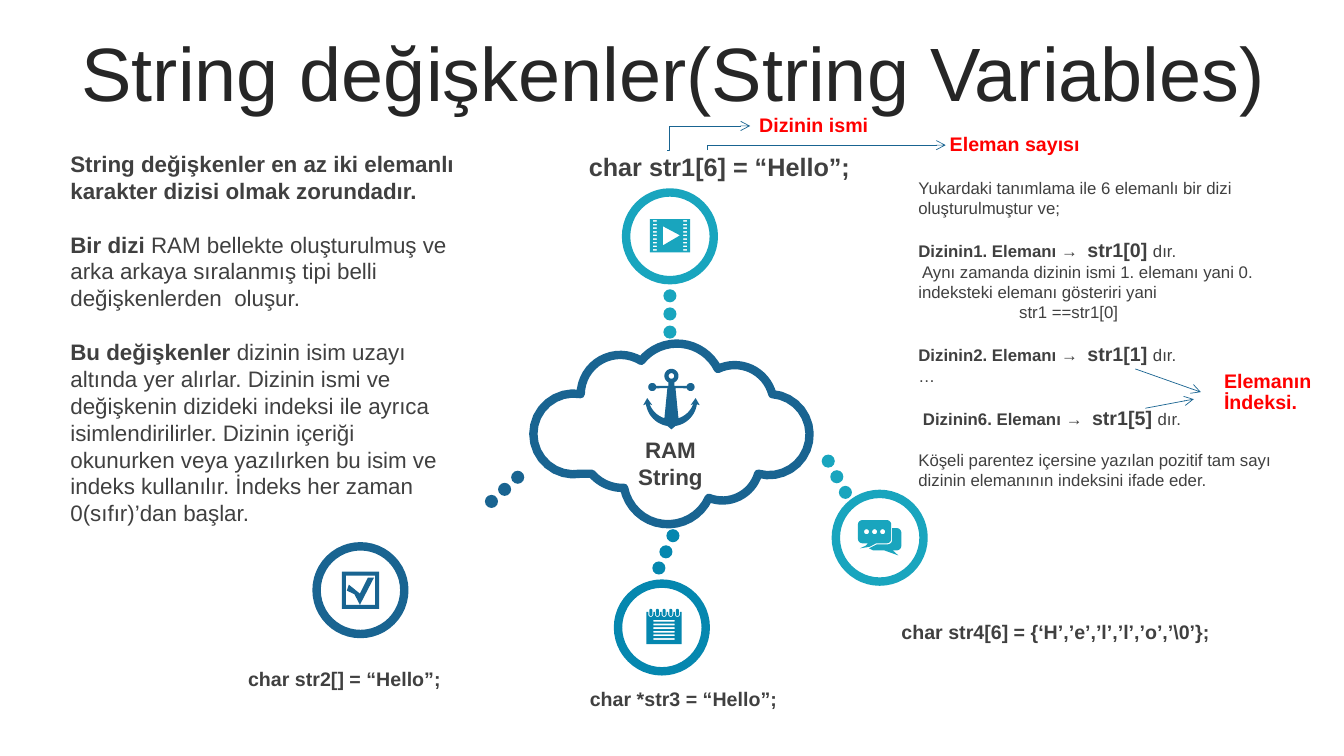
"""Build the slide about string variables around a memory cloud."""
import dataclasses
import math

import lxml.etree
import pptx
import pptx.dml.color
import pptx.enum.shapes
import pptx.enum.text
import pptx.oxml.ns
import pptx.util

COLUMNS, ROWS = 1333, 750
UNIT = pptx.util.Inches(7.5) / ROWS
NAVY, BLUE, TEAL = "196491", "0587AF", "19A5BE"
INK, TITLE_INK, RED = "404040", "262626", "FF0000"
LEFT, CENTER = pptx.enum.text.PP_ALIGN.LEFT, pptx.enum.text.PP_ALIGN.CENTER
RING, DOT = 87, 13
CLOUD_LOBES = [(636, 358, 21), (712, 366, 14), (766, 391, 44), (752, 470, 12), (703, 494, 31),
               (619, 484, 4), (587, 470, 0), (576, 470, 47), (576, 391, 20)]


@dataclasses.dataclass
class Para:
    """A paragraph of (words, bold, size) spans, with a gap above and an indent."""
    spans: list
    gap: float = 0
    indent: float = 0


def paint(color_format, color):
    """Set a colour from a hex string."""
    color_format.rgb = pptx.dml.color.RGBColor.from_string(color)


def units(*values):
    """Turn grid counts into lengths."""
    return [pptx.util.Emu(round(value * UNIT)) for value in values]


def finish(shape, fill=None, line=None):
    """Set the fill and line of a shape and take its shadow away."""
    shape.shadow.inherit = False
    for part, color in ((shape.fill, fill), (shape.line.fill, line)):
        if color:
            part.solid()
            paint(part.fore_color, color)
        else:
            part.background()
    if line:
        shape.line.width = pptx.util.Pt(6)


def add_circle(page, center, size, **look):
    """Add a circle around a centre."""
    oval = pptx.enum.shapes.MSO_SHAPE.OVAL
    left, top = (value - size / 2 for value in center)
    finish(page.shapes.add_shape(oval, *units(left, top, size, size)), **look)


def add_dots(page, first, last, color):
    """Add three dots at equal steps between two centres."""
    for step in (0, 0.5, 1):
        center = [a + (b - a) * step for a, b in zip(first, last)]
        add_circle(page, center, DOT, fill=color)


def add_outline(page, contours, center=(0, 0), **look):
    """Add one freeform made of closed contours given around a centre."""
    builder = None
    for contour in contours:
        first, *rest = [units(x + center[0], y + center[1]) for x, y in contour]
        if builder is None:
            builder = page.shapes.build_freeform(*first)
        else:
            builder.move_to(*first)
        builder.add_line_segments(rest, close=True)
    finish(builder.convert_to_shape(), **look)


def arc(x, y, radius, start, end, steps=16):
    """Give the points of an arc between two angles in degrees."""
    angles = [math.radians(start + (end - start) * step / steps) for step in range(steps + 1)]
    return [(x + radius * math.cos(angle), y + radius * math.sin(angle)) for angle in angles]


def lobe(start, end, bulge):
    """Give the points of an arc that rises by its bulge over the chord between two points."""
    if not bulge:
        return [start, end]
    (x1, y1), (x2, y2) = start, end
    half = math.dist(start, end) / 2
    radius = (half ** 2 + bulge ** 2) / (2 * bulge)
    inward = (radius - bulge) / (2 * half)
    x, y = (x1 + x2) / 2 - (y2 - y1) * inward, (y1 + y2) / 2 + (x2 - x1) * inward
    angle = math.degrees(math.atan2(y1 - y, x1 - x))
    return arc(x, y, radius, angle, angle + math.degrees(4 * math.atan(bulge / half)))


def cloud():
    """Give the cloud as lobes between neighbouring corners."""
    following = CLOUD_LOBES[1:] + CLOUD_LOBES[:1]
    return [[point for (x, y, bulge), (next_x, next_y, _) in zip(CLOUD_LOBES, following)
             for point in lobe((x, y), (next_x, next_y), bulge)]]


def rectangle(left, top, width, height):
    """Give the corners of a rectangle."""
    right, bottom = left + width, top + height
    return [(left, top), (right, top), (right, bottom), (left, bottom)]


def film():
    """Give a film strip with two columns of holes and a play sign."""
    holes = [rectangle(left, -16 + 3.6 * row, 4, 1.5) for left in (-17, 13) for row in range(9)]
    play = [(-7, -10), (-7, 9), (10, -1)]
    return [rectangle(-20, -17, 40, 33), play] + holes


def checkbox():
    """Give a square frame with a tick."""
    tick = [(-13.5, 0.5), (-11.5, -5.5), (-0.5, 3.5), (7.5, -12.5), (13.5, -12.5), (-0.5, 14.5),
            (-6, 4)]
    return [rectangle(-18.5, -18.5, 37, 37), rectangle(-14.5, -14.5, 29, 29), tick]


def notepad():
    """Give a page with five bound notches and six ruled lines."""
    centers = [-11 + 6.6 * ring for ring in range(5)]
    page_top = [point for x in centers
                for point in [(x - 2.5, -15.5), *arc(x, -13, 2.5, 180, 0), (x + 2.5, -15.5)]]
    sheet = [(-15.5, -15.5), *page_top, (19.5, -15.5), (19.5, 16.5), (-15.5, 16.5)]
    rings = [arc(x, -17, 1.5, 180, 360) + arc(x, -13, 1.5, 0, 180) for x in centers]
    return [sheet] + rings + [rectangle(-8.5, -7.5 + 3.6 * row, 21, 1.8) for row in range(6)]


def bubbles():
    """Give a speech bubble with three dots before a second bubble."""
    radius = 4.5
    front_tail = [(-3.5, 5.5), (-10, 9), (-19.5, 10.5), (-14, 8), (-11.5, 5.5)]
    front = (arc(-17, -13, radius, 180, 270) + arc(7, -13, radius, 270, 360)
             + arc(7, 1, radius, 0, 90) + front_tail + arc(-17, 1, radius, 90, 180))
    back_tail = [(13, 12.5), (18.5, 17.5), (4.5, 12.5)]
    back_foot = [(-6.5, 12.5), (-10.5, 10.5), (-2.5, 6.5)]
    back = ([(12.5, -9.5)] + arc(17, -5, radius, -90, 0) + arc(17, 8, radius, 0, 90)
            + back_tail + back_foot + arc(8, 2, radius, 90, 0))
    return [front, back] + [arc(x, -6, 2.5, 0, 360) for x in (-13, -5, 3)]


def anchor():
    """Give an anchor as a right half and its mirror image."""
    head, ball = arc(0, -23, 7, -90, 65), arc(19, -12, 4, 200, 520)
    inner_arm, outer_arm = arc(0, -3, 23, 72, 20), arc(0, 1.5, 25.5, 8, 81)
    fluke = [(19, 6), (24, -1), (28, 6), (25, 5)]
    half = (head + [(3, -13), (15, -13)] + ball + [(4, -11), (7, 19)]
            + inner_arm + fluke + outer_arm + [(0, 30)])
    return [half + [(-x, y) for x, y in reversed(half)], arc(0, -23, 2.8, 0, 360)]


def style(para, size, color, bold, align, spacing):
    """Format a whole paragraph."""
    para.alignment, para.line_spacing = align, spacing
    para.font.name, para.font.size, para.font.bold = "Arial", pptx.util.Pt(size), bold
    paint(para.font.color, color)


def add_text(page, place, paras, size, color=INK, bold=False, align=LEFT, spacing=1.0, insets=(10, 10)):
    """Add a text box of paragraphs."""
    frame = page.shapes.add_textbox(*units(*place)).text_frame
    frame.word_wrap = True
    frame.margin_left, frame.margin_right = units(*insets)
    for number, item in enumerate(paras):
        para = frame.add_paragraph() if number else frame.paragraphs[0]
        style(para, size, color, bold, align, spacing)
        para.space_before = pptx.util.Pt(item.gap)
        if item.indent:
            para._p.get_or_add_pPr().set("marL", str(units(item.indent)[0]))
        for words, strong, points in item.spans:
            span = para.add_run()
            span.text = words
            if strong != bold:
                span.font.bold = strong
            if points != size:
                span.font.size = pptx.util.Pt(points)


def add_label(page, place, lines, size=14, color=INK, inset=62):
    """Add a bold label that starts half an inch inside its box."""
    paras = [Para([(line, True, size)]) for line in lines.split("\n")]
    add_text(page, place, paras, size, color, bold=True, spacing=0.9, insets=(inset, 0))


def add_arrow(page, start, end, bend=None):
    """Add a thin arrow, with an elbow at a share of its width when bend is given."""
    kinds = pptx.enum.shapes.MSO_CONNECTOR
    kind = kinds.STRAIGHT if bend is None else kinds.ELBOW
    arrow = page.shapes.add_connector(kind, *units(*start, *end))
    paint(arrow.line.color, NAVY)
    arrow.line.width = pptx.util.Pt(0.5)
    name, properties = pptx.oxml.ns.qn, arrow._element.spPr
    lxml.etree.SubElement(properties.find(name("a:ln")), name("a:tailEnd"), type="arrow")
    lxml.etree.SubElement(properties, name("a:effectLst"))
    if bend is not None:
        guides = properties.find(name("a:prstGeom")).find(name("a:avLst"))
        lxml.etree.SubElement(guides, name("a:gd"), name="adj1", fmla=f"val {round(bend * 100000)}")


def add_title(page, words):
    """Place and format the title."""
    title = page.shapes.title
    title.left, title.top, title.width, title.height = units(35, 37, 1266, 79)
    frame = title.text_frame
    frame.text, frame.word_wrap = words, True
    frame.auto_size = pptx.enum.text.MSO_AUTO_SIZE.NONE
    frame.vertical_anchor = pptx.enum.text.MSO_ANCHOR.MIDDLE
    style(frame.paragraphs[0], 54, TITLE_INK, False, CENTER, 0.9)


def element(number, lead=""):
    """Give the line that names one element of the array."""
    return Para([(f"{lead}Dizinin{number}. Elemanı ", True, 12), ("→  ", False, 12),
                 (f"str1[{number - 1}] ", True, 14), ("dır.", False, 12)], gap=14.4)


def plain(words, **layout):
    """Give a paragraph of small regular text."""
    return Para([(words, False, 12)], **layout)


def opening(strong, rest="", gap=19.2):
    """Give a paragraph that opens in bold."""
    return Para([(strong, True, 16)] + ([(rest, False, 16)] if rest else []), gap)


def main():
    """Build and save the slide."""
    deck = pptx.Presentation()
    deck.slide_width, deck.slide_height = units(COLUMNS, ROWS)
    page = deck.slides.add_slide(deck.slide_layouts[5])
    add_title(page, "String değişkenler(String Variables)")
    add_outline(page, cloud(), line=NAVY)
    for center, first_dot, last_dot, color, icon in (
            ((664.5, 234.5), (664.5, 293.5), (664.5, 329.5), TEAL, film),
            ((357.5, 585.5), (487.5, 497.5), (513.5, 473.5), NAVY, checkbox),
            ((656.5, 622.5), (653.5, 563.5), (667.5, 531.5), BLUE, notepad),
            ((872.5, 533.5), (838.5, 488.5), (821.5, 457.5), TEAL, bubbles)):
        add_circle(page, center, RING, line=color)
        add_dots(page, first_dot, last_dot, color)
        add_outline(page, icon(), center, fill=color)
    add_outline(page, anchor(), (666, 396), fill=NAVY)
    add_text(page, (568, 428, 194, 64), [opening(word, gap=0) for word in ("RAM", "String")],
             16, bold=True, align=CENTER)
    add_label(page, (522, 149, 361, 37), "char str1[6] = “Hello”;", size=18)
    for place, code in (((184, 659, 279, 31), "char str2[] = “Hello”;"),
                        ((523, 679, 260, 31), "char *str3 = “Hello”;"),
                        ((832, 613, 405, 31), "char str4[6] = {‘H’,’e’,’l’,’l’,’o’,’\\0’};")):
        add_label(page, place, code)
    for place, note, inset in (((691, 110, 260, 31), "Dizinin ismi", 62),
                               ((882, 129, 200, 31), "Eleman sayısı", 60),
                               ((1154, 364, 158, 53), "Elemanın\nİndeksi.", 60)):
        add_label(page, place, note, color=RED, inset=inset)
    add_text(page, (901, 171, 379, 343), [
        plain("Yukardaki tanımlama ile 6 elemanlı bir dizi oluşturulmuştur ve;"),
        element(1),
        plain(" Aynı zamanda dizinin ismi 1. elemanı yani 0. indeksteki elemanı gösteriri yani"),
        plain("str1 ==str1[0]", indent=100),
        element(2),
        plain("…"),
        element(6, lead=" "),
        plain("Köşeli parentez içersine yazılan pozitif tam sayı dizinin elemanının indeksini "
              "ifade eder.", gap=14.4)], 12)
    add_text(page, (60, 144, 403, 407), [
        opening("String değişkenler en az iki elemanlı karakter dizisi olmak zorundadır.", gap=0),
        opening("Bir dizi ", "RAM bellekte oluşturulmuş ve arka arkaya sıralanmış tipi belli "
                "değişkenlerden  oluşur."),
        opening("Bu değişkenler ", "dizinin isim uzayı altında yer alırlar. Dizinin ismi ve "
                "değişkenin dizideki indeksi ile ayrıca isimlendirilirler. Dizinin içeriği okunurken "
                "veya yazılırken bu isim ve indeks kullanılır. İndeks her zaman 0(sıfır)’dan "
                "başlar.")], 16)
    for start, end, bend in (((662, 149), (744, 125), 0.02), ((702, 149), (938, 144), 0),
                             ((1126, 366), (1191, 389), None), ((1136, 405), (1184, 396), None)):
        add_arrow(page, start, end, bend)
    deck.save("out.pptx")


if __name__ == "__main__":
    main()
